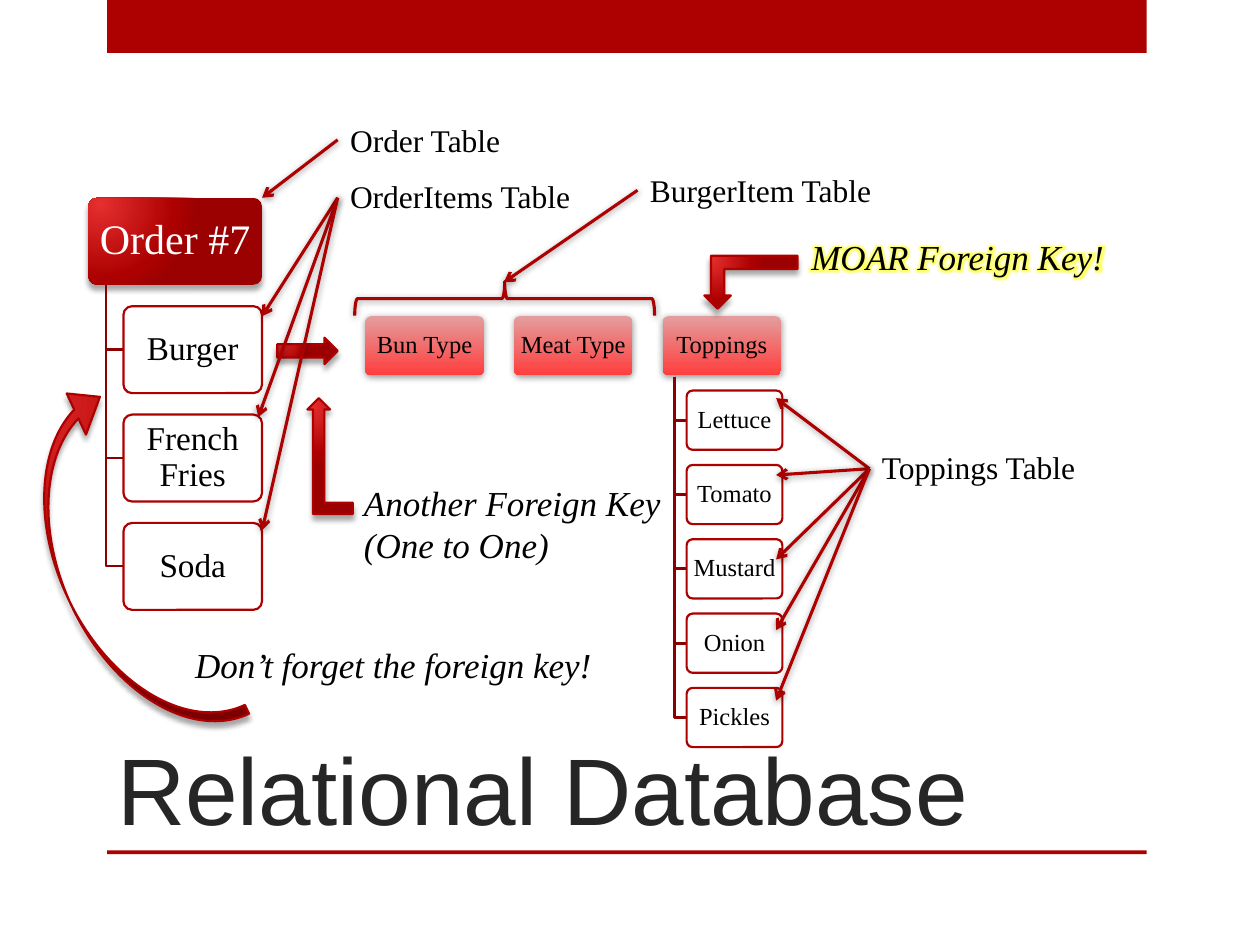
from lxml.etree import SubElement as Sub
from pptx import Presentation
from pptx.dml.color import RGBColor
from pptx.enum.shapes import MSO_CONNECTOR as Link, MSO_SHAPE as Form
from pptx.enum.text import MSO_ANCHOR as Anchor, MSO_AUTO_SIZE as Auto, PP_ALIGN as Align
from pptx.oxml import parse_xml
from pptx.oxml.ns import nsdecls, qn
from pptx.util import Inches, Pt

RED = RGBColor(0xAD, 0x01, 0x01)
DARK = RGBColor(0x8B, 0x01, 0x01)
WHITE = RGBColor(0xFF, 0xFF, 0xFF)
BLACK = RGBColor(0, 0, 0)
GRAY = RGBColor(0x26, 0x26, 0x26)
YELLOW = RGBColor(0xFF, 0xFF, 0x00)
GLOSS = [(0, RGBColor(0xE6, 0x2F, 0x2F)), (76, RED), (100, RGBColor(0x9C, 0x01, 0x01))]
PINK = [(0, RGBColor(0xE4, 0x9D, 0x9D)), (100, RGBColor(0xFF, 0x3D, 0x3D))]
ROUND = ('<a:path path="circle"><a:fillToRect l="15000" t="15000" '
         'r="100000" b="100000"/></a:path>')
DOWN = '<a:lin ang="5400000" scaled="0"/>'
# Shadows: opacity in percent, blur and distance in points, angle in degrees
DEEP = (35, 3, 3, 90)
SOFT = (40, 4, 1, 88)


class Sketch:
    serif = "Times New Roman"
    sans = "Arial"

    def __init__(self, slide):
        self.slide = slide
        self.shapes = slide.shapes

    def font(self, para, size, color=BLACK, name=serif, italic=False):
        font = para.font
        font.name, font.size, font.italic = name, Pt(size), italic
        font.color.rgb = color

    def title(self, text, *at):
        head = self.shapes.title
        head.left, head.top, head.width, head.height = map(Inches, at)
        head.text_frame.text = text
        head.text_frame.vertical_anchor = Anchor.BOTTOM
        para = head.text_frame.paragraphs[0]
        para.alignment = Align.LEFT
        self.font(para, 54, GRAY, self.sans)

    def shade(self, props, shadow):
        effects = props.find(qn("a:effectLst"))
        if effects is None:
            effects = Sub(props, qn("a:effectLst"))
        if shadow:
            alpha, blur, dist, angle = shadow
            outer = Sub(effects, qn("a:outerShdw"), blurRad=str(Pt(blur)),
                        dist=str(Pt(dist)), dir=str(angle * 60000), rotWithShape="0")
            tint = Sub(outer, qn("a:srgbClr"), val=str(BLACK))
            Sub(tint, qn("a:alpha"), val=str(alpha * 1000))

    def blend(self, shape, stops, way):
        props = shape._element.spPr
        marks = "".join(f'<a:gs pos="{pos * 1000}"><a:srgbClr val="{color}"/></a:gs>'
                        for pos, color in stops)
        grad = parse_xml(f'<a:gradFill {nsdecls("a")} rotWithShape="1">'
                         f'<a:gsLst>{marks}</a:gsLst>{way}</a:gradFill>')
        props.replace(props.find(qn("a:noFill")), grad)

    def shape(self, form, at, fill=None, way=ROUND, line=None, width=1.25,
              shadow=None, turn=0, flip=None, adjust=()):
        item = self.shapes.add_shape(form, *map(Inches, at))
        item.shadow.inherit = False
        self.shade(item._element.spPr, shadow)
        item.fill.background()
        if isinstance(fill, list):
            self.blend(item, fill, way)
        elif fill is not None:
            item.fill.solid()
            item.fill.fore_color.rgb = fill
        if line is None:
            item.line.fill.background()
        else:
            item.line.color.rgb = line
            item.line.width = Pt(width)
        for index, value in enumerate(adjust):
            item.adjustments[index] = value
        item.rotation = turn
        if flip:
            item._element.spPr.find(qn("a:xfrm")).set(flip, "1")
        return item

    def box(self, text, at, size, color=BLACK, pad=0.05, **style):
        item = self.shape(Form.ROUNDED_RECTANGLE, at, adjust=[0.1], **style)
        frame = item.text_frame
        frame.word_wrap = True
        frame.vertical_anchor = Anchor.MIDDLE
        frame.margin_left = frame.margin_right = Inches(pad)
        frame.margin_top = frame.margin_bottom = Inches(0.03)
        para = frame.paragraphs[0]
        para.text, para.alignment, para.line_spacing = text, Align.CENTER, 0.9
        self.font(para, size, color)

    def arrow(self, form, *at, **style):
        self.shape(form, at, fill=GLOSS, line=RED, shadow=DEEP, **style)

    def label(self, text, *at, size=18, italic=False, wrap=False):
        item = self.shapes.add_textbox(*map(Inches, at))
        frame = item.text_frame
        frame.word_wrap = wrap
        frame.auto_size = Auto.SHAPE_TO_FIT_TEXT
        para = frame.paragraphs[0]
        para.text = text
        self.font(para, size, italic=italic)
        return para

    def note(self, text, left, top, height=0.44):
        return self.label(text, left, top, 3.61, height, size=20, italic=True, wrap=True)

    def glow(self, para, color):
        props = para.runs[0]._r.get_or_add_rPr()
        halo = Sub(Sub(props, qn("a:effectLst")), qn("a:glow"), rad=str(Pt(8)))
        tint = Sub(halo, qn("a:srgbClr"), val=str(color))
        Sub(tint, qn("a:alpha"), val="60000")

    def point(self, start, *ends):
        for end in ends:
            link = self.shapes.add_connector(Link.STRAIGHT, *map(Inches, start + end))
            link.line.color.rgb = RED
            link.line.width = Pt(1.75)
            Sub(link.line._get_or_add_ln(), qn("a:tailEnd"), type="arrow")
            self.shade(link._element.spPr, SOFT)

    def branch(self, x, top, end, y, width):
        pen = self.shapes.build_freeform(Inches(x), Inches(top))
        pen.add_line_segments([(Inches(x), Inches(y)), (Inches(end), Inches(y))], close=False)
        path = pen.convert_to_shape()
        path.shadow.inherit = False
        path.fill.background()
        path.line.color.rgb = DARK
        path.line.width = Pt(width)

    def tree(self, names, trunk, base, at, step, size, pad, width):
        left, top, wide, high = at
        for index, name in enumerate(names):
            y = top + index * step
            self.branch(trunk, base, left, y + high / 2, width)
            self.box(name, (left, y, wide, high), size, pad=pad, fill=WHITE, line=RED)


deck = Presentation()
deck.slide_width, deck.slide_height = Inches(10), Inches(7.5)
page = Sketch(deck.slides.add_slide(deck.slide_layouts[5]))

# Frame and title
page.shape(Form.RECTANGLE, (0.85, 0, 8.25, 0.42), fill=RED)
page.shape(Form.RECTANGLE, (0.85, 6.75, 8.25, 0.03), fill=RED)
page.title("Relational Database", 0.83, 5, 7.42, 1.75)

# Order and its items
page.box("Order #7", (0.7, 1.57, 1.38, 0.69), 24, WHITE, fill=GLOSS, shadow=DEEP)
page.tree(["Burger", "French Fries", "Soda"], 0.84, 2.26,
          (0.98, 2.43, 1.1, 0.69), 0.86, 19, 0.05, 1.25)

# Burger parts and toppings
for index, name in enumerate(["Bun Type", "Meat Type", "Toppings"]):
    page.box(name, (2.9 + index * 1.18, 2.51, 0.94, 0.47), 14, pad=0.03,
             fill=PINK, way=DOWN, shadow=SOFT)
page.tree(["Lettuce", "Tomato", "Mustard", "Onion", "Pickles"], 5.35, 2.99,
          (5.45, 3.1, 0.76, 0.47), 0.59, 14, 0.03, 1.75)

# Order table and its key
page.arrow(Form.RIGHT_ARROW, 2.2, 2.68, 0.48, 0.21)
page.label("Order Table", 2.68, 0.91, 1.41, 0.4)
page.point((2.68, 1.11), (2.08, 1.57))
page.arrow(Form.CURVED_RIGHT_ARROW, 0.48, 3.04, 0.91, 2.96, turn=334.8,
           flip="flipV", adjust=[0.085, 0.396, 0.25])
page.note("Don’t forget the foreign key!", 1.45, 5.06)

# Item tables
page.shape(Form.LEFT_BRACE, (3.87, 1.18, 0.27, 2.38), line=RED, width=1.75,
           shadow=SOFT, turn=90)
page.label("OrderItems Table", 2.68, 1.36, 1.97, 0.4)
page.point((2.68, 1.57), (2.08, 2.51), (2.05, 3.31), (2.08, 4.21))
page.label("BurgerItem Table", 5.06, 1.31, 1.98, 0.4)
page.point((5.06, 1.51), (4, 2.24))
page.arrow(Form.BENT_UP_ARROW, 2.44, 3.16, 0.36, 0.92, flip="flipH")
page.note("Another Foreign Key\v(One to One)", 2.79, 3.77, 0.77)

# Toppings table and its key
page.label("Toppings Table", 6.9, 3.51, 1.76, 0.4)
page.point((6.9, 3.72), *[(6.16, y) for y in (3.16, 3.77, 4.44, 5, 5.56)])
page.glow(page.note("MOAR Foreign Key!", 6.34, 1.82), YELLOW)
page.arrow(Form.BENT_UP_ARROW, 5.59, 2.03, 0.74, 0.42, turn=180)

deck.save("out.pptx")
